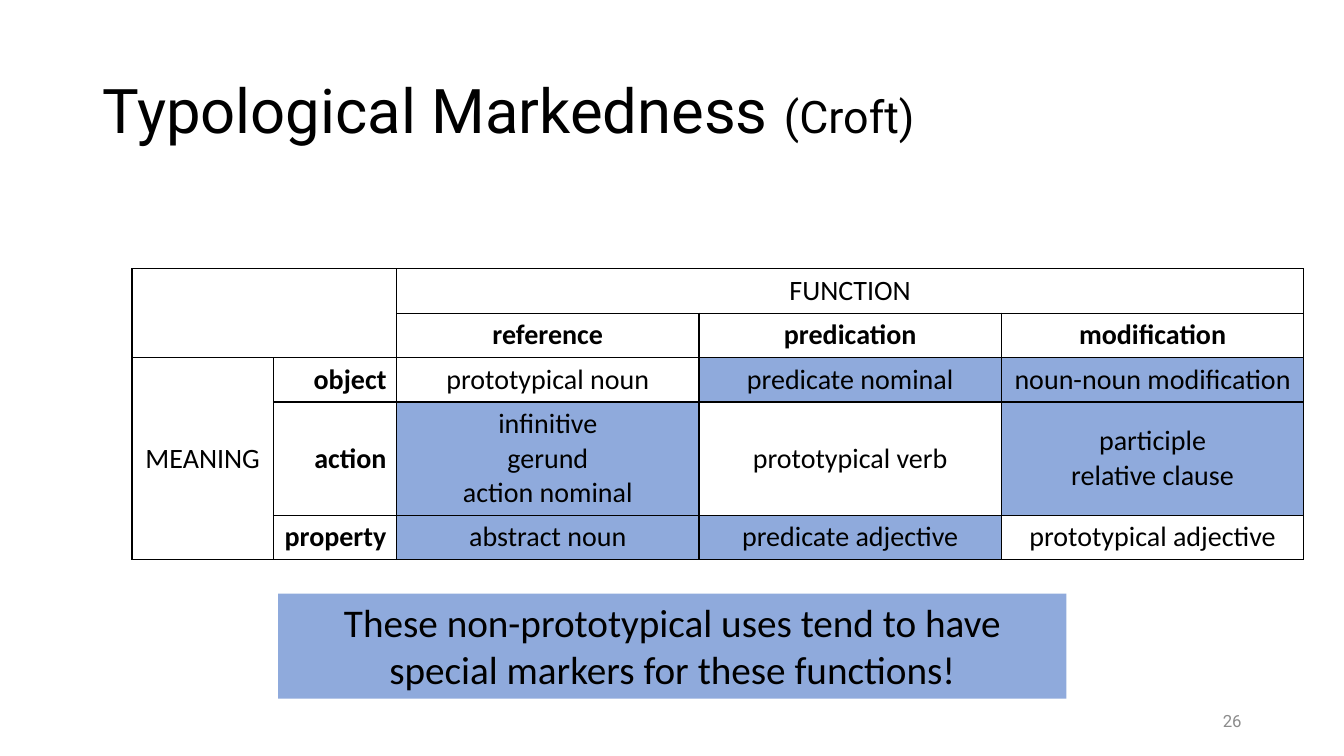
from lxml.etree import SubElement
from pptx import Presentation
from pptx.dml.color import RGBColor
from pptx.enum.shapes import MSO_SHAPE
from pptx.enum.text import MSO_ANCHOR, MSO_AUTO_SIZE, PP_ALIGN
from pptx.oxml.ns import qn
from pptx.util import Pt

COLORS = {"ink": "000000", "mark": "8FAADC", "plain": "FFFFFF", "page": "8C8C8C"}
LEFT, MID, RIGHT = PP_ALIGN.LEFT, PP_ALIGN.CENTER, PP_ALIGN.RIGHT
BODY = {"name": "Calibri", "size": Pt(20), "bold": False}
HEAD = {**BODY, "bold": True}
TITLE = {"name": "Roboto", "size": Pt(44)}
SUB = {**TITLE, "size": Pt(32)}
PAGE = {"name": "Roboto", "size": Pt(12)}
NOTE = {"name": "Calibri", "size": Pt(28)}

COLS = [101, 88, 216, 216, 216]
ROWS = [31.7, 31.7, 31.7, 80.8, 31.7]
USES = ["reference", "predication", "modification"]
KINDS = {
    "object": ["prototypical noun", "predicate nominal", "noun-noun modification"],
    "action": ["infinitive\ngerund\naction nominal", "prototypical verb",
               "participle\nrelative clause"],
    "property": ["abstract noun", "predicate adjective", "prototypical adjective"],
}


def color(name):
    return RGBColor.from_string(COLORS[name])


def style(item, values):
    for key, value in values.items():
        setattr(item, key, value)


def add_run(para, text, font, ink="ink"):
    run = para.add_run()
    run.text = text
    style(run.font, font)
    run.font.color.rgb = color(ink)


def write(frame, text, font, align=MID, ink="ink"):
    for i, line in enumerate(text.split("\n")):
        para = frame.add_paragraph() if i else frame.paragraphs[0]
        para.alignment = align
        add_run(para, line, font, ink)


def frame_cell(cell):
    """Draw a thin line on all four sides of a cell."""
    props = cell._tc.get_or_add_tcPr()
    for i, side in enumerate(["lnL", "lnR", "lnT", "lnB"]):
        line = SubElement(props, qn(f"a:{side}"), w=str(Pt(1)))
        fill = SubElement(line, qn("a:solidFill"))
        SubElement(fill, qn("a:srgbClr"), val=COLORS["ink"])
        props.insert(i, line)


def fill_cell(cell, text, font=BODY, align=MID, back=None):
    write(cell.text_frame, text, font, align)
    if back:
        cell.fill.solid()
        cell.fill.fore_color.rgb = color(back)


def add_title(slide):
    title = slide.shapes.title
    style(title, {"left": Pt(66), "top": Pt(29), "width": Pt(828), "height": Pt(104)})
    style(title.text_frame, {"auto_size": MSO_AUTO_SIZE.NONE,
                             "vertical_anchor": MSO_ANCHOR.MIDDLE})
    para = title.text_frame.paragraphs[0]
    style(para, {"alignment": LEFT, "line_spacing": 0.9})
    add_run(para, "Typological Markedness ", TITLE)
    add_run(para, "(Croft)", SUB)


def add_grid(slide):
    grid = slide.shapes.add_table(len(ROWS), len(COLS), Pt(94.3), Pt(192),
                                  Pt(sum(COLS)), Pt(sum(ROWS))).table
    style(grid, {"first_row": False, "horz_banding": False})
    for col, width in zip(grid.columns, COLS):
        col.width = Pt(width)
    for row, height in zip(grid.rows, ROWS):
        row.height = Pt(height)
    for cell in grid.iter_cells():
        frame_cell(cell)
        cell.fill.background()
        cell.vertical_anchor = MSO_ANCHOR.MIDDLE

    for first, last in [((0, 0), (1, 1)), ((0, 2), (0, 4)), ((2, 0), (4, 0))]:
        grid.cell(*first).merge(grid.cell(*last))
    fill_cell(grid.cell(0, 2), "FUNCTION")
    fill_cell(grid.cell(2, 0), "MEANING")
    for j, use in enumerate(USES):
        fill_cell(grid.cell(1, j + 2), use, HEAD)
    for i, (kind, forms) in enumerate(KINDS.items()):
        fill_cell(grid.cell(i + 2, 1), kind, HEAD, RIGHT)
        for j, form in enumerate(forms):
            back = "plain" if i == j else "mark"
            fill_cell(grid.cell(i + 2, j + 2), form, back=back)


def add_note(slide):
    note = slide.shapes.add_shape(MSO_SHAPE.RECTANGLE, Pt(198.7), Pt(424), Pt(563), Pt(75))
    note.shadow.inherit = False
    note.fill.solid()
    note.fill.fore_color.rgb = color("mark")
    note.line.fill.background()
    style(note.text_frame, {"word_wrap": True, "vertical_anchor": MSO_ANCHOR.TOP})
    write(note.text_frame, "These non-prototypical uses tend to have "
          "special markers for these functions!", NOTE)


def add_page(slide):
    frame = slide.shapes.add_textbox(Pt(678), Pt(500.5), Pt(216), Pt(29)).text_frame
    style(frame, {"word_wrap": True, "vertical_anchor": MSO_ANCHOR.MIDDLE})
    write(frame, "26", PAGE, RIGHT, "page")


def main():
    deck = Presentation()
    style(deck, {"slide_width": Pt(960), "slide_height": Pt(540)})
    slide = deck.slides.add_slide(deck.slide_layouts[5])
    for add in [add_title, add_grid, add_page, add_note]:
        add(slide)
    deck.save("out.pptx")


if __name__ == "__main__":
    main()
